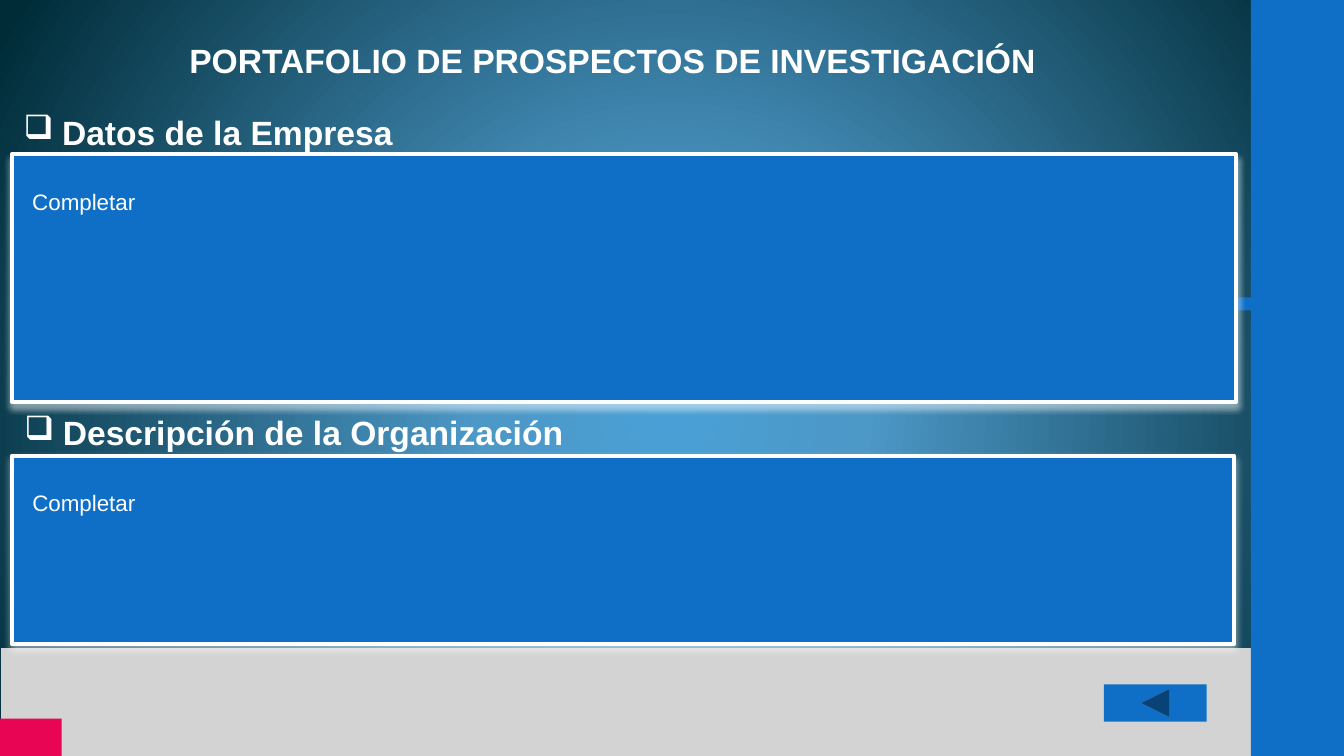
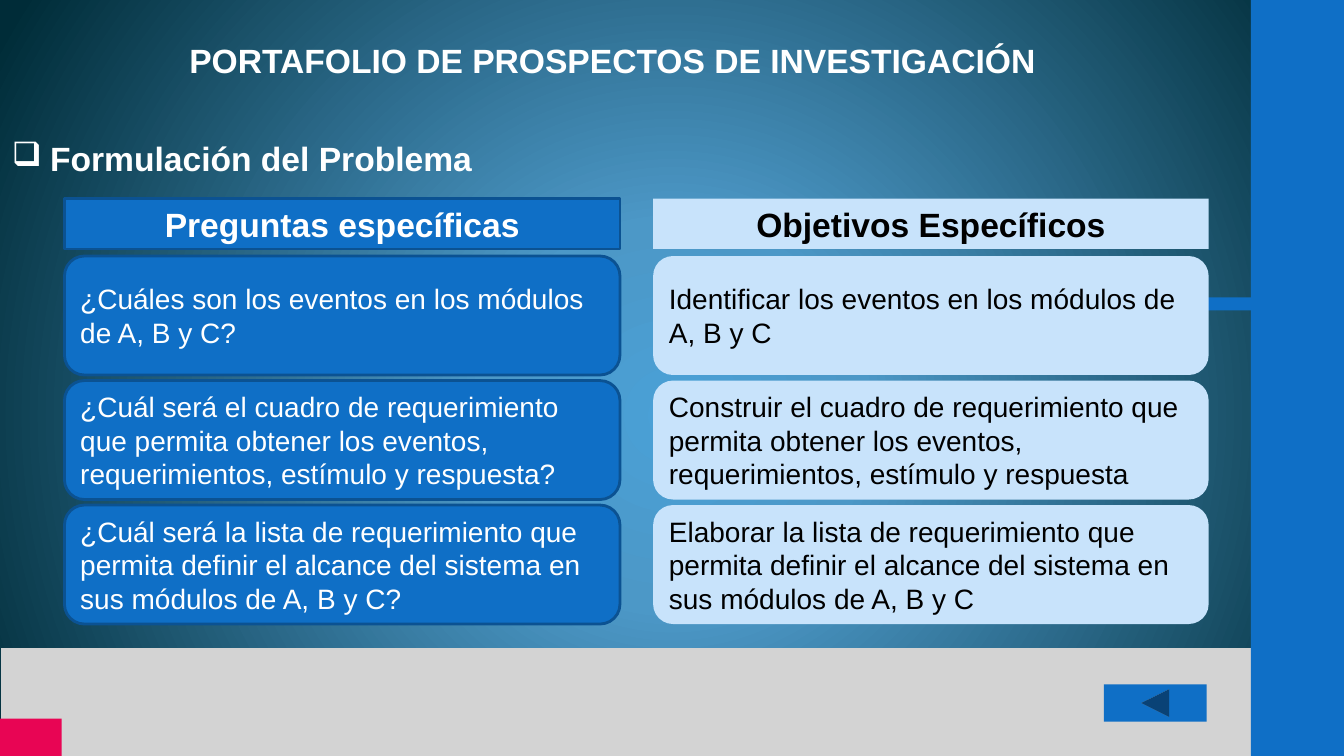
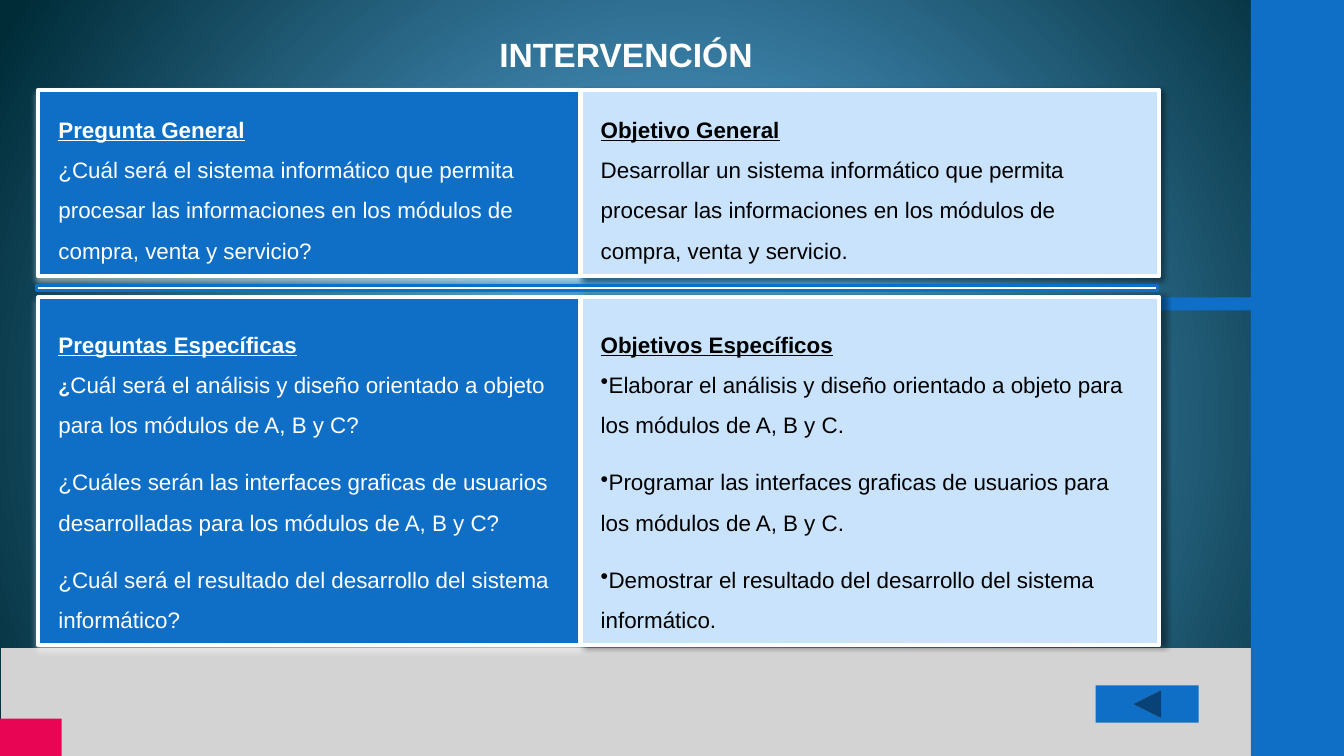
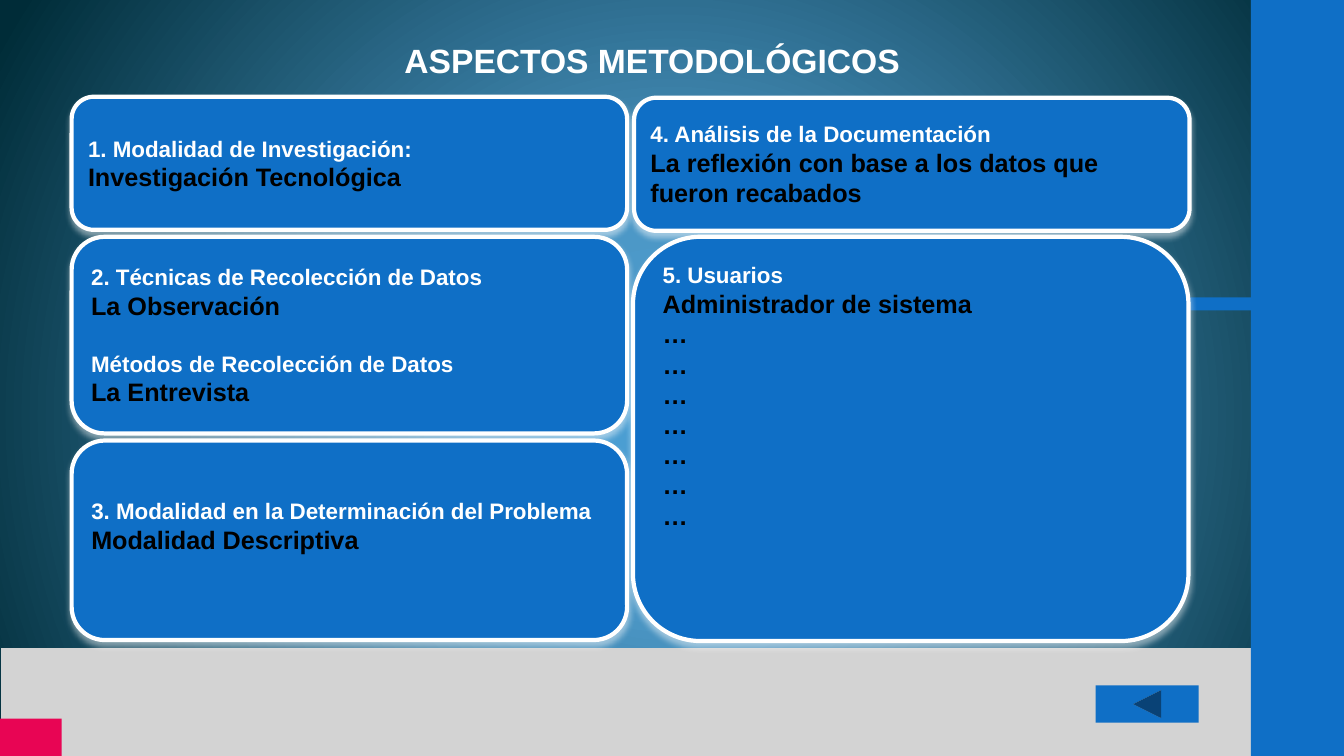
import dataclasses
import pptx
import pptx.dml.color
import pptx.enum.dml
import pptx.enum.shapes
import pptx.enum.text
import pptx.oxml
import pptx.oxml.ns
import pptx.util

RGB = pptx.dml.color.RGBColor
SHAPE = pptx.enum.shapes.MSO_SHAPE
ALIGN = pptx.enum.text.PP_ALIGN
ANCHOR = pptx.enum.text.MSO_ANCHOR
Pt = pptx.util.Pt
Inches = pptx.util.Inches
qn = pptx.oxml.ns.qn
NS = pptx.oxml.ns.nsdecls("a")

# Colours
WHITE = RGB(0xFF, 0xFF, 0xFF)
BLACK = RGB(0x00, 0x00, 0x00)
BLUE = RGB(0x0F, 0x6F, 0xC6)
DARK_BLUE = RGB(0x0B, 0x52, 0x92)
PALE_BLUE = RGB(0xC8, 0xE3, 0xFB)
GREY = RGB(0xD3, 0xD3, 0xD3)
PINK = RGB(0xE8, 0x05, 0x54)
GLOW_STOPS = (
    (0, RGB(0x4A, 0xA0, 0xD6)),
    (25, RGB(0x4C, 0x98, 0xC7)),
    (100, RGB(0x00, 0x2C, 0x38)),
)

# Shadows: colour, opacity in percent, blur, distance, angle
LIGHT_SHADOW = (WHITE, 48, 4.5, 3, 90)
DIAGONAL_SHADOW = (BLACK, 40, 4, 3, 45)
SIDE_SHADOW = (BLACK, 40, 4, 3, 0)

# Text formats
HEAD = {"size": Pt(24), "bold": True}
BODY = {"size": Pt(20)}
SMALL = {"size": Pt(16)}
LABEL = {"size": Pt(16), "bold": True}
UNDERLINED = {"size": Pt(16), "bold": True, "underline": True}
MARK = {"size": Pt(14), "bold": True}
ANSWER = {"size": Pt(18), "bold": True}
CENTERED = {"alignment": ALIGN.CENTER}
OPEN = {"line_spacing": 1.5}
OPEN_GAP = {"line_spacing": 1.5, "space_after": Pt(12)}
MIDDLE = {"vertical_anchor": ANCHOR.MIDDLE}
PADDED = {
    "margin_left": Inches(0.2),
    "margin_top": Inches(0.2),
    "margin_right": Inches(0.28),
    "margin_bottom": Inches(0.2),
}


@dataclasses.dataclass
class Para:
    spans: list  # (text, font format, colour)
    layout: dict = dataclasses.field(default_factory=dict)
    bullet: str = ""
    indent: float = 0


def line(text, font, color=WHITE, layout=None, bullet="", indent=0):
    return Para([(text, font, color)], layout or {}, bullet, indent)


def apply(target, values):
    for name, value in values.items():
        setattr(target, name, value)


class Portfolio:
    """Style and current page; places are on a grid of 100 columns by 100 rows."""

    WIDTH, HEIGHT = Inches(13.33), Inches(7.5)
    FONT = "Arial"
    HEAD_ROWS = 6.67

    def __init__(self):
        self.deck = pptx.Presentation()
        self.deck.slide_width, self.deck.slide_height = self.WIDTH, self.HEIGHT
        self.page = None

    def place(self, left, top, width, height):
        return (
            int(left * self.WIDTH / 100),
            int(top * self.HEIGHT / 100),
            int(width * self.WIDTH / 100),
            int(height * self.HEIGHT / 100),
        )

    # Page with its background, bands, title and back button
    def start(self, title, at, button_at, layout=CENTERED):
        self.page = self.deck.slides.add_slide(self.deck.slide_layouts[6])
        self.glow()
        self.box((80.25, 39.33, 19.75, 1.73), BLUE)
        self.box((0.08, 85.73, 93, 14.27), GREY)
        self.box((93.08, 0, 6.92, 100), BLUE)
        self.box((0, 95.07, 4.58, 4.93), PINK)
        self.label((*at, 73.5, self.HEAD_ROWS), line(title, HEAD, layout=layout))
        self.box((*button_at, 7.65, 4.93), BLUE,
                 kind=SHAPE.ACTION_BUTTON_BACK_OR_PREVIOUS)

    def glow(self):
        self.page.background.fill.gradient()
        gradient = next(self.page.element.iter(qn("a:gradFill")))
        for child in list(gradient):
            gradient.remove(child)
        stops = "".join(
            f'<a:gs pos="{share * 1000}"><a:srgbClr val="{color}"/></a:gs>'
            for share, color in GLOW_STOPS)
        gradient.append(pptx.oxml.parse_xml(f"<a:gsLst {NS}>{stops}</a:gsLst>"))
        gradient.append(pptx.oxml.parse_xml(
            f'<a:path {NS} path="circle"><a:fillToRect l="10000" t="110000" '
            'r="10000" b="100000"/></a:path>'))

    # Filled shape, with optional outline, shadow and text
    def box(self, at, fill, paras=(), kind=SHAPE.RECTANGLE, outline=None,
            shadow=None, frame=None):
        shape = self.page.shapes.add_shape(kind, *self.place(*at))
        shape.shadow.inherit = False
        shape.fill.solid()
        shape.fill.fore_color.rgb = fill
        if outline:
            color, weight = outline
            shape.line.color.rgb = color
            shape.line.width = Pt(weight)
        else:
            shape.line.fill.background()
        if shadow:
            self.cast(shape, *shadow)
        if paras:
            self.set_text(shape.text_frame, paras, frame)

    def cast(self, shape, color, opacity, blur, distance, angle):
        effects = shape.element.spPr.find(qn("a:effectLst"))
        effects.append(pptx.oxml.parse_xml(
            f'<a:outerShdw {NS} blurRad="{Pt(blur)}" dist="{Pt(distance)}" '
            f'dir="{angle * 60000}" algn="ctr" rotWithShape="0">'
            f'<a:srgbClr val="{color}"><a:alpha val="{opacity * 1000}"/>'
            '</a:srgbClr></a:outerShdw>'))

    def panel(self, at, paras, fill=BLUE, shadow=LIGHT_SHADOW,
              kind=SHAPE.RECTANGLE, frame=PADDED):
        self.box(at, fill, paras, kind, (WHITE, 3), shadow, frame)

    def label(self, at, para, wrap=True):
        box = self.page.shapes.add_textbox(*self.place(*at))
        self.set_text(box.text_frame, [para], {"word_wrap": wrap})

    def section(self, left, top, width, text):
        para = line(text, HEAD, layout=CENTERED, bullet="❑", indent=0.38)
        self.label((left, top, width, self.HEAD_ROWS), para, wrap=False)

    def set_text(self, frame, paras, values=None):
        apply(frame, {"word_wrap": True, "vertical_anchor": ANCHOR.TOP,
                      **(values or {})})
        for index, item in enumerate(paras):
            para = frame.add_paragraph() if index else frame.paragraphs[0]
            apply(para, {"alignment": ALIGN.LEFT, **item.layout})
            if item.bullet:
                self.mark(para, item.bullet, item.indent)
            for text, font, color in item.spans:
                span = para.add_run()
                span.text = text
                apply(span.font, {"name": self.FONT, **font})
                span.font.color.rgb = color

    def mark(self, para, bullet, indent):
        props = para._p.get_or_add_pPr()
        props.set("marL", str(Inches(indent)))
        props.set("indent", str(-Inches(indent)))
        props.append(pptx.oxml.parse_xml(f'<a:buChar {NS} char="{bullet}"/>'))


def company_page(show):
    show.start("PORTAFOLIO DE PROSPECTOS DE INVESTIGACIÓN", (13.35, 4.67),
               (82.13, 90.53), {})
    sections = (
        ("Datos de la Empresa", 14.13, 29.18, (0.9, 20.4, 91.05, 32.8)),
        ("Descripción de la Organización", 53.87, 41.93, (0.9, 60.27, 90.9, 24.93)),
    )
    for heading, top, width, panel_at in sections:
        show.section(0.9, top, width, heading)
        show.panel(panel_at, [line("Completar", SMALL, layout=OPEN)])


def problem_page(show):
    show.start("PORTAFOLIO DE PROSPECTOS DE INVESTIGACIÓN", (13.35, 4.67),
               (82.13, 90.53), {})
    show.section(0, 17.6, 36, "Formulación del Problema")
    columns = (
        ("Preguntas específicas", BLUE, WHITE, (DARK_BLUE, 2), (
            "¿Cuáles son los eventos en los módulos de A, B y C?",
            "¿Cuál será el cuadro de requerimiento que permita obtener los "
            "eventos, requerimientos, estímulo y respuesta?",
            "¿Cuál será la lista de requerimiento que permita definir el alcance "
            "del sistema en sus módulos de A, B y C?")),
        ("Objetivos Específicos", PALE_BLUE, BLACK, None, (
            "Identificar los eventos en los módulos de A, B y C",
            "Construir el cuadro de requerimiento que permita obtener los "
            "eventos, requerimientos, estímulo y respuesta",
            "Elaborar la lista de requerimiento que permita definir el alcance "
            "del sistema en sus módulos de A, B y C")),
    )
    for column, (heading, fill, color, outline, cards) in enumerate(columns):
        left, width = 4.8 + 43.8 * column, 41.33
        show.box((left, 26.27, width, show.HEAD_ROWS), fill,
                 [line(heading, HEAD, color, CENTERED)], outline=outline)
        for row, text in enumerate(cards):
            show.box((left, 33.87 + 16.47 * row, width, 15.73), fill,
                     [line(text, BODY, color)], SHAPE.ROUNDED_RECTANGLE,
                     outline, frame=MIDDLE)


def intervention_page(show):
    show.start("INTERVENCIÓN", (9.83, 3.87), (81.53, 90.67))
    left, right = (2.85, 40.35), (43.2, 43.05)
    upper, lower = (11.87, 24.67), (39.33, 46)

    def panel(column, row, paras, frame=PADDED, **style):
        show.panel((column[0], row[0], column[1], row[1]), paras,
                   frame=frame, **style)

    # Questions
    panel(left, upper, [
        line("Pregunta General", UNDERLINED, layout=OPEN),
        line("¿Cuál será el sistema informático que permita procesar las "
             "informaciones en los módulos de compra, venta y servicio?",
             SMALL, layout=OPEN),
    ], {**PADDED, **MIDDLE})
    panel(left, lower, [
        line("Preguntas Específicas", UNDERLINED, layout=OPEN),
        Para([("¿", MARK, WHITE),
              ("Cuál será el análisis y diseño orientado a objeto para los "
               "módulos de A, B y C?", SMALL, WHITE)], OPEN_GAP),
        line("¿Cuáles serán las interfaces graficas de usuarios desarrolladas "
             "para los módulos de A, B y C?", SMALL, layout=OPEN_GAP),
        line("¿Cuál será el resultado del desarrollo del sistema informático?",
             SMALL, layout=OPEN_GAP),
    ])

    # Objectives
    panel(right, upper, [
        line("Objetivo General", UNDERLINED, BLACK, OPEN),
        line("Desarrollar un sistema informático que permita procesar las "
             "informaciones en los módulos de compra, venta y servicio.",
             SMALL, BLACK, OPEN),
    ], {**PADDED, **MIDDLE}, fill=PALE_BLUE, shadow=DIAGONAL_SHADOW)
    goals = (
        "Elaborar el análisis y diseño orientado a objeto para los módulos de "
        "A, B y C.",
        "Programar las interfaces graficas de usuarios para los módulos de "
        "A, B y C.",
        "Demostrar el resultado del desarrollo del sistema informático.",
    )
    panel(right, lower,
          [line("Objetivos Específicos", UNDERLINED, BLACK, OPEN)]
          + [line(goal, SMALL, BLACK, OPEN_GAP, "•") for goal in goals],
          fill=PALE_BLUE, shadow=SIDE_SHADOW)

    # Divider
    show.box((2.7, 37.73, 83.4, 0.67), WHITE, outline=(BLUE, 2))


def method_page(show):
    show.start("ASPECTOS METODOLÓGICOS", (11.78, 4.67), (81.53, 90.67))
    width = 41.33
    raised = {**MIDDLE, "margin_bottom": Inches(0.34)}
    cards = (
        ((5.33, 12.8, width, 17.6), MIDDLE, [
            line("1. Modalidad de Investigación:", LABEL),
            line("Investigación Tecnológica", ANSWER, BLACK)]),
        ((5.33, 31.33, width, 26), MIDDLE, [
            line("2. Técnicas de Recolección de Datos", LABEL),
            line("La Observación", ANSWER, BLACK),
            line("Métodos de Recolección de Datos", LABEL,
                 layout={"space_before": Pt(21)}),
            line("La Entrevista", ANSWER, BLACK)]),
        ((5.33, 58.27, width, 26.4), raised, [
            line("3. Modalidad en la Determinación del Problema", LABEL),
            line("Modalidad Descriptiva", ANSWER, BLACK)]),
        ((47.18, 12.93, width, 17.6), MIDDLE, [
            line("4. Análisis de la Documentación", LABEL),
            line("La reflexión con base a los datos que fueron recabados",
                 ANSWER, BLACK)]),
        ((47.1, 31.33, width, 53.47), {}, [
            line("5. Usuarios", LABEL),
            line("Administrador de sistema", ANSWER, BLACK),
            *[line("…", ANSWER, BLACK) for _ in range(7)]]),
    )
    for at, frame, paras in cards:
        show.panel(at, paras, kind=SHAPE.ROUNDED_RECTANGLE, frame=frame)


def main():
    show = Portfolio()
    for build in (company_page, problem_page, intervention_page, method_page):
        build(show)
    show.deck.save("out.pptx")


if __name__ == "__main__":
    main()
